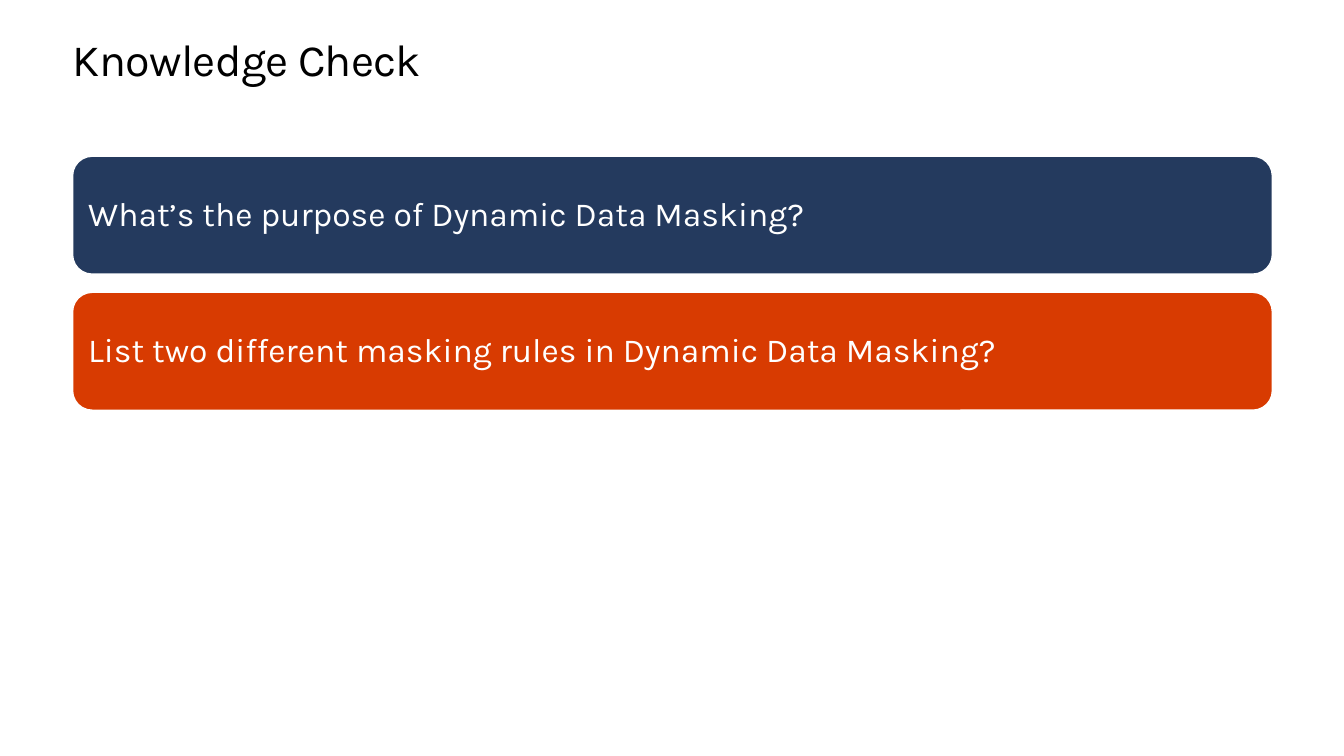
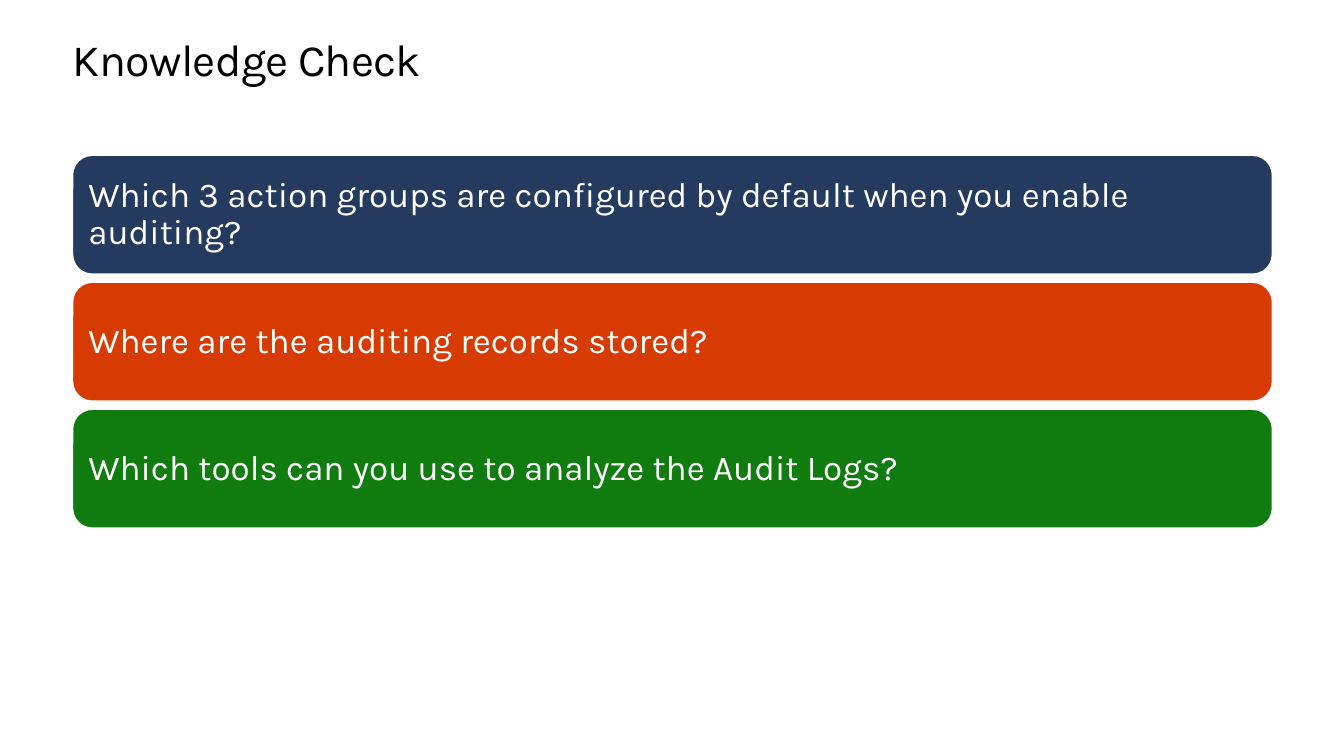
"""Build two knowledge check slides with stacked question cards."""
from pptx import Presentation
from pptx.dml.color import RGBColor
from pptx.enum.shapes import MSO_SHAPE
from pptx.enum.text import MSO_ANCHOR, MSO_AUTO_SIZE, PP_ALIGN
from pptx.util import Inches, Pt

BLACK = RGBColor(0x00, 0x00, 0x00)
WHITE = RGBColor(0xFF, 0xFF, 0xFF)
NAVY = RGBColor(0x24, 0x3A, 0x5E)
ORANGE = RGBColor(0xD8, 0x3B, 0x01)
GREEN = RGBColor(0x10, 0x7C, 0x10)
CARD_COLORS = (NAVY, ORANGE, GREEN)
FONT = "Karla"
LEFT, WIDTH = 0.72, 11.9
TITLE_TOP, TITLE_HEIGHT = 0.35, 0.5

PAGES = [
    {
        "title": "Knowledge Check",
        "top": 1.55, "height": 1.17, "gap": 0.18, "size": 24,
        "questions": [
            "What’s the purpose of Dynamic Data Masking?",
            "List two different masking rules in Dynamic Data Masking?",
        ],
    },
    {
        "title": "Knowledge Check",
        "top": 1.54, "height": 1.18, "gap": 0.08, "size": 25,
        "questions": [
            "Which 3 action groups are configured by default when you enable auditing?",
            "Where are the auditing records stored?",
            "Which tools can you use to analyze the Audit Logs?",
        ],
    },
]


def write_text(box, text, size, color, line_spacing, margin, anchor):
    frame = box.text_frame
    settings = {"word_wrap": True, "auto_size": MSO_AUTO_SIZE.NONE, "vertical_anchor": anchor}
    for side in ("left", "top", "right", "bottom"):
        settings[f"margin_{side}"] = Inches(margin)
    for name, value in settings.items():
        setattr(frame, name, value)
    paragraph = frame.paragraphs[0]
    paragraph.alignment = PP_ALIGN.LEFT
    paragraph.line_spacing = line_spacing
    span = paragraph.add_run()
    span.text = text
    for name, value in {"name": FONT, "size": Pt(size), "bold": False}.items():
        setattr(span.font, name, value)
    span.font.color.rgb = color
    return span


def add_title(page, text):
    title = page.shapes.title
    position = {"left": LEFT, "top": TITLE_TOP, "width": WIDTH, "height": TITLE_HEIGHT}
    for name, value in position.items():
        setattr(title, name, Inches(value))
    span = write_text(title, text, 32, BLACK, Pt(36.2), 0, MSO_ANCHOR.TOP)
    span.font._element.set("spc", "-50")


def add_card(page, question, top, height, size, color):
    card = page.shapes.add_shape(
        MSO_SHAPE.ROUNDED_RECTANGLE,
        Inches(LEFT), Inches(top), Inches(WIDTH), Inches(height),
    )
    card.shadow.inherit = False
    card.fill.solid()
    card.fill.fore_color.rgb = color
    card.line.color.rgb = WHITE
    card.line.width = Pt(1)
    write_text(card, question, size, WHITE, 0.9, 0.1, MSO_ANCHOR.MIDDLE)


def main():
    deck = Presentation()
    deck.slide_width, deck.slide_height = Inches(13.33), Inches(7.5)
    for content in PAGES:
        page = deck.slides.add_slide(deck.slide_layouts.get_by_name("Title Only"))
        add_title(page, content["title"])
        height = content["height"]
        pitch = height + content["gap"]
        for index, (question, color) in enumerate(zip(content["questions"], CARD_COLORS)):
            top = content["top"] + index * pitch
            add_card(page, question, top, height, content["size"], color)
    deck.save("out.pptx")


if __name__ == "__main__":
    main()
